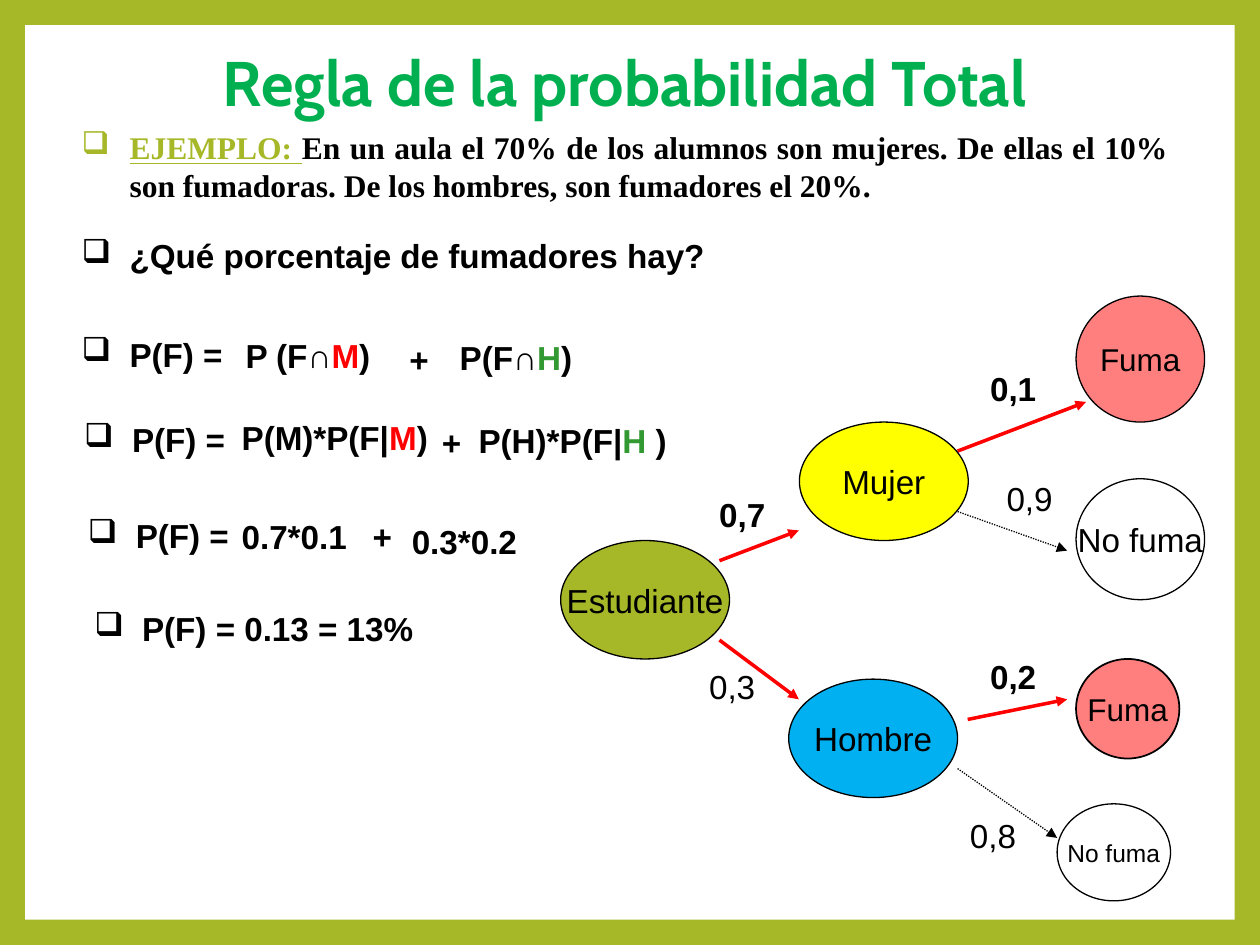
from lxml import etree
from pptx import Presentation
from pptx.dml.color import RGBColor
from pptx.enum.dml import MSO_LINE
from pptx.enum.shapes import MSO_CONNECTOR, MSO_SHAPE
from pptx.enum.text import MSO_ANCHOR, PP_ALIGN
from pptx.oxml.ns import qn
from pptx.util import Inches, Pt

OVAL, RECT = MSO_SHAPE.OVAL, MSO_SHAPE.RECTANGLE
LINE, DOTS = MSO_CONNECTOR.STRAIGHT, MSO_LINE.ROUND_DOT
MID, TOP = MSO_ANCHOR.MIDDLE, MSO_ANCHOR.TOP
LEFT, CENTER, FULL = PP_ALIGN.LEFT, PP_ALIGN.CENTER, PP_ALIGN.JUSTIFY

HUES = {"olive": "A6B727", "white": "FFFFFF", "black": "000000",
        "title": "00B050", "red": "FF0000", "green": "339933",
        "yellow": "FFFF00", "blue": "00B0F0"}
UNIT = Inches(0.1)          # the slide is a grid of 100 columns by 75 rows
COLS, ROWS = 100, 75
BODY, ROW = 19, 4.2         # text size and height of a line's box


def grid(*cells):
    return [round(cell * UNIT) for cell in cells]


def shift(box, x, y, w, h):
    return box[0] + x, box[1] + y, w, h


def hue(name):
    return RGBColor.from_string(HUES[name])


def sub(node, tag, **attrs):
    return etree.SubElement(node, qn(tag), attrs)


def add_run(para, text, tint="black", size=BODY, bold=True, face="Arial"):
    run = para.add_run()
    run.text = text
    font = run.font
    font.name, font.size, font.bold = face, Pt(size), bold
    font.color.rgb = hue(tint)
    return run


def add_box(slide, box, wrap=False, align=LEFT, anchor=TOP, mark=False):
    frame = slide.shapes.add_textbox(*grid(*box)).text_frame
    frame.word_wrap, frame.vertical_anchor = wrap, anchor
    para = frame.paragraphs[0]
    para.alignment = align
    if mark:
        props = para._p.get_or_add_pPr()
        props.set("marL", str(Inches(0.38)))
        props.set("indent", str(-Inches(0.38)))
        sub(props, "a:buChar", char="❑")
    return para


def add_frame(slide, box):
    back = slide.background.fill
    back.solid()
    back.fore_color.rgb = hue("olive")
    page = slide.shapes.add_shape(RECT, *grid(*box))
    page.shadow.inherit = False
    page.fill.solid()
    page.fill.fore_color.rgb = hue("white")
    page.line.fill.background()


def add_title(slide, box):
    para = add_box(slide, box, True, CENTER, MID)
    para.line_spacing = 0.9
    add_run(para, "Regla de la probabilidad Total", "title", 36, face="Cabin")


def add_case(slide, box):
    para = add_box(slide, box, True, FULL, mark=True)
    face = "Times New Roman"
    head = add_run(para, "EJEMPLO: ", "olive", 18, face=face)
    head.font.underline = True
    add_run(para, "En un aula el 70% de los alumnos son mujeres. De ellas el "
            "10% son fumadoras. De los hombres, son fumadores el 20%.",
            size=18, face=face)


def add_steps(slide, box):
    # Lines that open with a bullet: x, y, width, text
    heads = [(0, 0, 52.1, "¿Qué porcentaje de fumadores hay?"),
             (0, 7.8, 13.6, "P(F) ="), (0.2, 14.6, 13.6, "P(F) ="),
             (0.5, 22.2, 13.6, "P(F) ="),
             (1, 29.6, 27.6, "P(F) = 0.13 = 13%")]
    for x, y, w, text in heads:
        add_run(add_box(slide, shift(box, x, y, w, ROW), mark=True), text)

    # Terms of the sums: x, y, width, runs
    terms = [
        (13, 7.9, 12.1, [("P (F∩", "black"), ("M", "red"), (")", "black")]),
        (26, 8.2, 3.6, [("+", "black")]),
        (30, 8.1, 11.1, [("P(F∩", "black"), ("H", "green"), (")", "black")]),
        (12.7, 14.4, 17,
         [("P(M)*P(F|", "black"), ("M", "red"), (")", "black")]),
        (28.6, 14.8, 3.6, [("+", "black")]),
        (31.5, 14.7, 17.1,
         [("P(H)*P(F|", "black"), ("H ", "green"), (")", "black")]),
        (12.7, 22.3, 11.3, [("0.7*0.1", "black")]),
        (23.1, 22.3, 3.6, [("+", "black")]),
        (26.2, 22.7, 10.5, [("0.3*0.2", "black")])]
    for x, y, w, runs in terms:
        para = add_box(slide, shift(box, x, y, w, ROW))
        for text, tint in runs:
            add_run(para, text, tint)


def add_arrow(slide, box, ends, strong):
    x, y = box[:2]
    ends = [ends[0] + x, ends[1] + y, ends[2] + x, ends[3] + y]
    link = slide.shapes.add_connector(LINE, *grid(*ends))
    link.line.color.rgb = hue("red" if strong else "black")
    link.line.width = Pt(2 if strong else 0.75)
    if not strong:
        link.line.dash_style = DOTS
    sub(link.line._get_or_add_ln(), "a:tailEnd", type="triangle")
    sub(link._element.spPr, "a:effectLst")


def add_node(slide, box, text, tint, size, edge):
    node = slide.shapes.add_shape(OVAL, *grid(*box))
    node.shadow.inherit = False
    if tint:
        node.fill.solid()
        node.fill.fore_color.rgb = hue(tint)
        if tint == "red":   # half transparent
            tone = node._element.spPr.find(qn("a:solidFill"))[0]
            sub(tone, "a:alpha", val="50000")
    else:
        node.fill.background()
    node.line.color.rgb = hue("black")
    node.line.width = Pt(edge)
    frame = node.text_frame
    frame.word_wrap, frame.vertical_anchor = False, MID
    para = frame.paragraphs[0]
    para.alignment = CENTER
    add_run(para, text, size=size, bold=False)


def add_tree(slide, box):
    # Branches: ends, strong line, label, its place, bold label
    links = [((12.6, 21, 18.9, 18.6), True, "0,7", (11.6, 15.2), True),
             ((12.6, 27.3, 18.9, 32), True, "0,3", (10.8, 28.9), False),
             ((31.5, 12.3, 41.7, 8.4), True, "0,1", (33.1, 5.2), True),
             ((31.5, 17.1, 40.2, 20.2), False, "0,9", (34.4, 14), False),
             ((32.3, 33.6, 40.2, 32), True, "0,2", (33.1, 28.1), True),
             ((31.5, 37.5, 39.4, 43), False, "0,8", (31.5, 40.7), False)]
    for ends, strong, text, spot, bold in links:
        add_arrow(slide, box, ends, strong)
        para = add_box(slide, shift(box, *spot, 5.7, ROW))
        add_run(para, text, bold=bold)

    # Nodes: place and size, text, fill, text size, outline
    big = (13.4, 9.4)
    nodes = [((0, 19.4, *big), "Estudiante", "olive", BODY, 0.75),
             ((18.95, 10, *big), "Mujer", "yellow", BODY, 0.75),
             ((18.1, 30.4, *big), "Hombre", "blue", BODY, 0.75),
             ((40.9, 0, 10.2, 10), "Fuma", "red", 18, 0.75),
             ((40.9, 14.5, 10.2, 9.6), "No fuma", None, BODY, 0.75),
             ((40.9, 28.8, 8.2, 7.9), "Fuma", "red", 18, 1),
             ((39.4, 40.3, 9, 7.7), "No fuma", None, 14, 0.75)]
    for place, *look in nodes:
        add_node(slide, shift(box, *place), *look)


def main():
    deck = Presentation()
    deck.slide_width, deck.slide_height = grid(COLS, ROWS)
    slide = deck.slides.add_slide(deck.slide_layouts[6])
    add_frame(slide, (2, 2, COLS - 4, ROWS - 4))
    add_title(slide, (9.1, 3.6, 81, 6.4))
    add_case(slide, (5.5, 9.7, 88.2, 7.1))
    add_steps(slide, (5.5, 18.2, 52.1, 33.8))
    add_tree(slide, (44.5, 23.5, 51.1, 48))
    deck.save("out.pptx")


if __name__ == "__main__":
    main()
